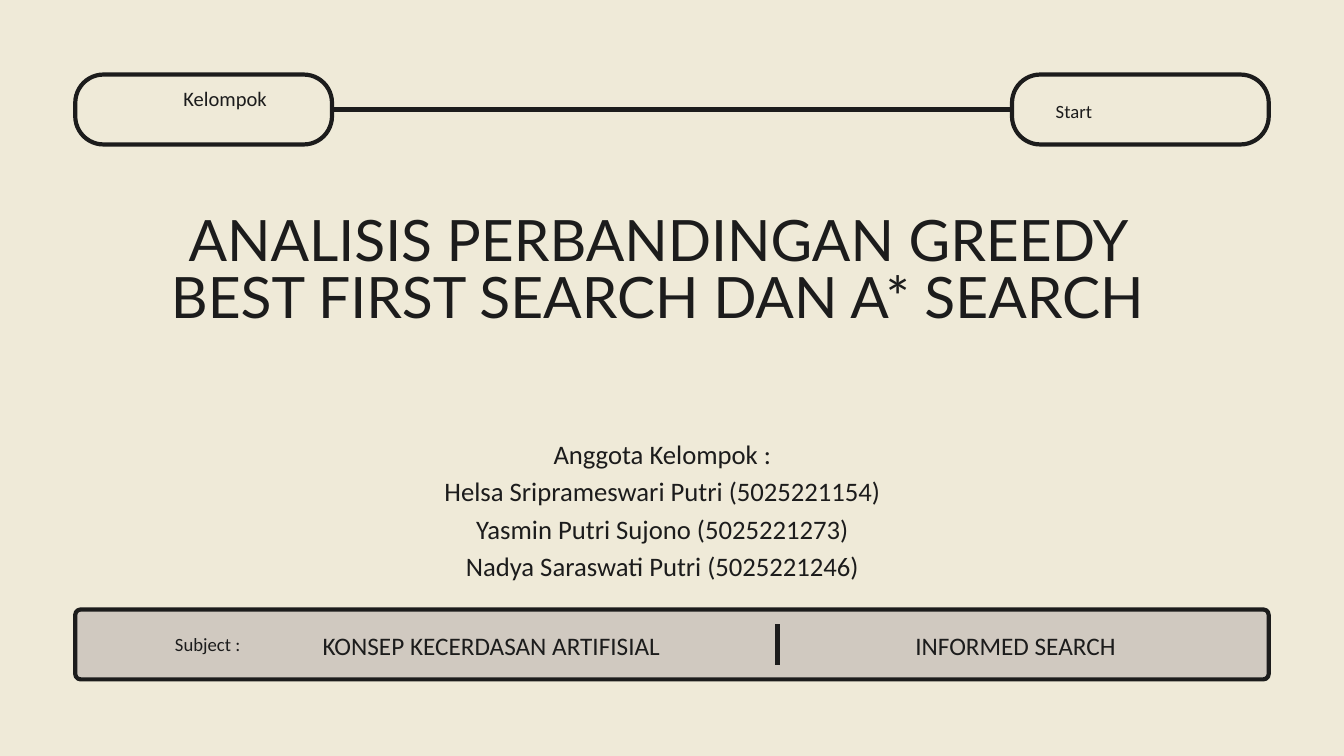
from lxml.etree import SubElement
from pptx import Presentation
from pptx.dml.color import RGBColor
from pptx.enum.shapes import MSO_CONNECTOR, MSO_SHAPE
from pptx.enum.text import MSO_ANCHOR, MSO_AUTO_SIZE, PP_ALIGN
from pptx.oxml.ns import qn
from pptx.util import Inches, Pt

COLORS = {"paper": "EFEAD8", "ink": "1C1C1C", "bar": "D0C9C0"}
LEFT, CENTER = PP_ALIGN.LEFT, PP_ALIGN.CENTER

TITLE = ["ANALISIS PERBANDINGAN GREEDY BEST FIRST SEARCH DAN A* SEARCH"]
MEMBERS = [
    "Anggota Kelompok :",
    "Helsa Sriprameswari Putri (5025221154)",
    "Yasmin Putri Sujono (5025221273)",
    "Nadya Saraswati Putri (5025221246)",
]
LABELS = [
    ("Kelompok", (2.73, 1.34, 1.89, 0.32), 22, 22, LEFT),
    ("Start", (15.71, 1.54, 1.32, 0.27), 20, 20, LEFT),
    ("Subject :", (2.09, 9.48, 2, 0.27), 20, 20, CENTER),
    ("KONSEP KECERDASAN ARTIFISIAL", (4.2, 9.31, 6.22, 0.5), 27, 37.8, CENTER),
    ("INFORMED SEARCH", (12, 9.31, 6.22, 0.5), 27, 37.8, CENTER),
]

WIDTH, HEIGHT = 20, 11.25
MARGIN = 1.12
PILL_TOP, PILL_WIDTH = 1.11, 3.82
BAR_TOP, BAND_HEIGHT = 9.07, 1.04
DIVIDER_X, DIVIDER_TOP, DIVIDER_BOTTOM = 11.57, 9.29, 9.89


def color(name):
    return RGBColor.from_string(COLORS[name])


def place(shape, left, top, width, height):
    shape.left, shape.top = Inches(left), Inches(top)
    shape.width, shape.height = Inches(width), Inches(height)


def write(shape, lines, size, spacing, align=CENTER, font="Calibri"):
    frame = shape.text_frame
    frame.word_wrap = True
    frame.auto_size = MSO_AUTO_SIZE.NONE
    frame.vertical_anchor = MSO_ANCHOR.TOP
    frame.margin_left = frame.margin_right = 0
    frame.margin_top = frame.margin_bottom = 0
    frame.text = "\n".join(lines)
    for para in frame.paragraphs:
        para.alignment = align
        para.line_spacing = Pt(spacing)
        para.space_before = Pt(0)
        para.font.size = Pt(size)
        para.font.name = font
        para.font.color.rgb = color("ink")


def outline(line):
    line.color.rgb = color("ink")
    line.width = Pt(4.5)


def add_rounded(page, left, top, width, radius, fill):
    shape = page.shapes.add_shape(
        MSO_SHAPE.ROUNDED_RECTANGLE,
        Inches(left), Inches(top), Inches(width), Inches(BAND_HEIGHT),
    )
    shape.adjustments[0] = radius / BAND_HEIGHT
    shape.shadow.inherit = False
    shape.fill.solid()
    shape.fill.fore_color.rgb = color(fill)
    outline(shape.line)
    return shape


def add_line(page, x1, y1, x2, y2):
    line = page.shapes.add_connector(
        MSO_CONNECTOR.STRAIGHT, Inches(x1), Inches(y1), Inches(x2), Inches(y2)
    )
    outline(line.line)
    SubElement(line._element.spPr, qn("a:effectLst"))
    return line


def main():
    deck = Presentation()
    deck.slide_width, deck.slide_height = Inches(WIDTH), Inches(HEIGHT)
    page = deck.slides.add_slide(deck.slide_layouts[0])
    page.background.fill.solid()
    page.background.fill.fore_color.rgb = color("paper")

    title, members = page.placeholders
    place(title, 2.54, 3.21, 14.49, 2.64)
    write(title, TITLE, 61.1, 61.1, font="Lato")
    place(members, 5.86, 6.43, 7.99, 2.21)
    write(members, MEMBERS, 28.6, 40.1)

    add_rounded(page, MARGIN, BAR_TOP, WIDTH - 2 * MARGIN, 0.08, "bar")
    add_line(page, DIVIDER_X, DIVIDER_TOP, DIVIDER_X, DIVIDER_BOTTOM)

    right_pill_left = WIDTH - MARGIN - PILL_WIDTH
    group_pill, start_pill = [
        add_rounded(page, left, PILL_TOP, PILL_WIDTH, 0.42, "paper")
        for left in (MARGIN, right_pill_left)
    ]
    middle = PILL_TOP + BAND_HEIGHT / 2
    link = add_line(page, MARGIN + PILL_WIDTH, middle, right_pill_left, middle)
    link.begin_connect(group_pill, 3)
    link.end_connect(start_pill, 1)

    for text, area, size, spacing, align in LABELS:
        box = page.shapes.add_textbox(*map(Inches, area))
        write(box, [text], size, spacing, align)

    deck.save("out.pptx")


if __name__ == "__main__":
    main()
